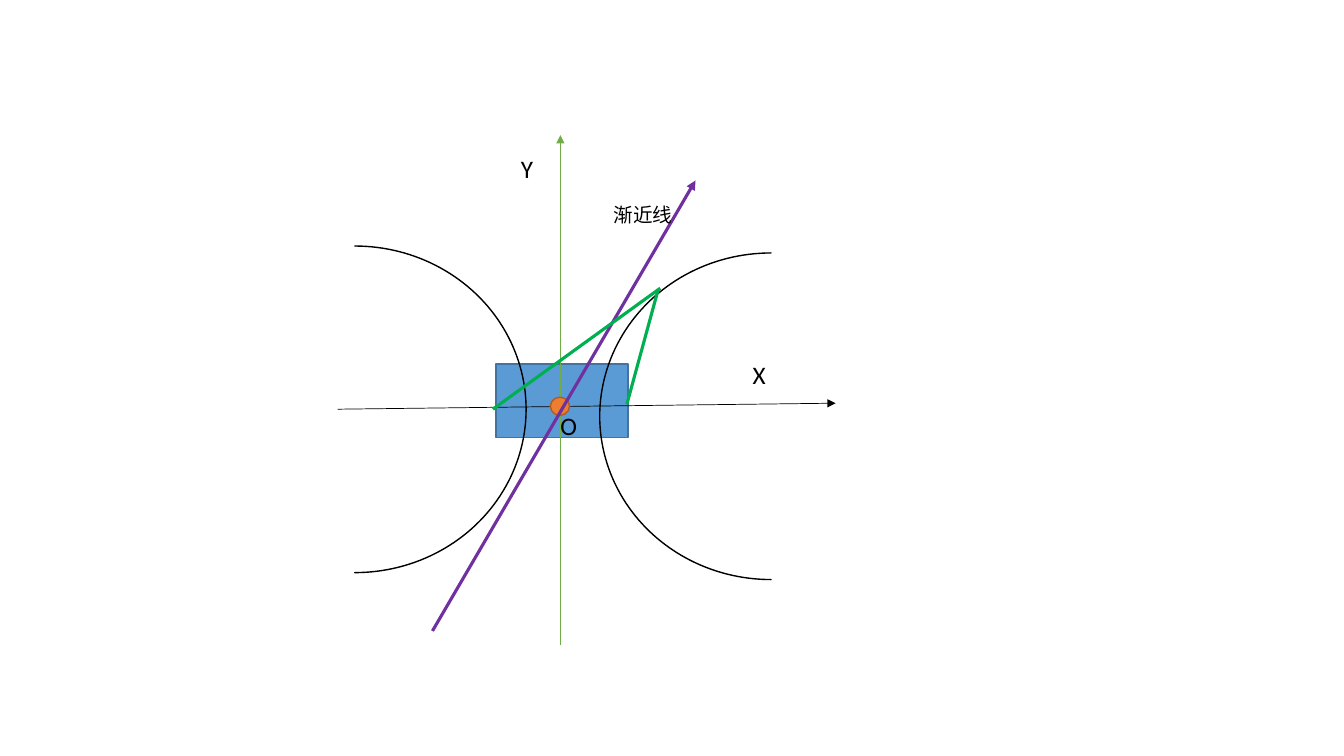
from lxml import etree
from pptx import Presentation
from pptx.dml.color import RGBColor
from pptx.enum import shapes, text
from pptx.oxml import ns
from pptx.util import Pt

BLACK = RGBColor(0x00, 0x00, 0x00)
BLUE = RGBColor(0x5B, 0x9B, 0xD5)
BLUE_EDGE = RGBColor(0x43, 0x73, 0x9E)
ORANGE = RGBColor(0xED, 0x7D, 0x31)
ORANGE_EDGE = RGBColor(0xAF, 0x5C, 0x24)
AXIS_GREEN = RGBColor(0x70, 0xAD, 0x47)
FOCAL_GREEN = RGBColor(0x00, 0xB0, 0x50)
PURPLE = RGBColor(0x70, 0x30, 0xA0)

LATIN, CJK = "Calibri", "Noto Sans CJK SC"


def add_figure(slide, preset, left, top, width, height, fill, edge):
    figure = slide.shapes.add_shape(preset, Pt(left), Pt(top), Pt(width), Pt(height))
    figure.shadow.inherit = False
    figure.fill.solid()
    figure.fill.fore_color.rgb = fill
    figure.line.color.rgb = edge
    figure.line.width = Pt(1)
    return figure


def add_line(slide, start, end, color, weight, arrow=False):
    line = slide.shapes.add_connector(
        shapes.MSO_CONNECTOR.STRAIGHT, *(Pt(v) for v in (*start, *end)))
    line.line.color.rgb = color
    line.line.width = Pt(weight)
    if arrow:
        etree.SubElement(line.line._ln, ns.qn("a:tailEnd"), type="triangle")
    etree.SubElement(line._element.spPr, ns.qn("a:effectLst"))


def add_label(slide, words, left, top, width, height, size, font):
    label = slide.shapes.add_textbox(Pt(left), Pt(top), Pt(width), Pt(height))
    frame = label.text_frame
    frame.word_wrap = True
    frame.auto_size = text.MSO_AUTO_SIZE.SHAPE_TO_FIT_TEXT
    paragraph = frame.paragraphs[0]
    paragraph.text = words
    paragraph.font.size = Pt(size)
    paragraph.font.name = font
    paragraph.font.color.rgb = BLACK


def draw_axes(slide, left, top):
    """Coordinate axes with their labels, the central rectangle and the origin."""
    add_figure(slide, shapes.MSO_SHAPE.RECTANGLE, left + 114.2, top + 163.9,
               94.3, 52.6, BLUE, BLUE_EDGE)
    add_line(slide, (left + 1.2, top + 196.3), (left + 356.9, top + 192),
             BLACK, 0.5, arrow=True)
    add_line(slide, (left + 160.3, top + 364.8), (left + 160.3, top + 0.5),
             AXIS_GREEN, 1, arrow=True)
    for name, x, y in (("X", 290.6, 157.4), ("Y", 125, 9.8), ("O", 153.1, 193.4)):
        add_label(slide, name, left + x, top + y, 46.8, 45.4, 18, LATIN)
    add_figure(slide, shapes.MSO_SHAPE.OVAL, left + 153.1, top + 187.7,
               13.7, 13, ORANGE, ORANGE_EDGE)


def draw_hyperbola(slide, left, top):
    """Asymptote, both branches and the two focal radii."""
    add_line(slide, (left + 68.9, top + 354.7), (left + 256.8, top + 32.9),
             PURPLE, 2.25, arrow=True)
    for x, y, rotation in ((188.4, 84.7, 0), (13.4, 79.7, 180)):
        branch = add_figure(slide, shapes.MSO_SHAPE.MOON, left + x, top + y,
                            122.4, 233.3, BLACK, BLACK)
        branch.adjustments[0] = 0
        branch.rotation = rotation
    add_label(slide, "渐近线", left + 191.3, top + 45.1, 73.4, 24.5, 14, CJK)
    for start_x, start_y, focus_x, focus_y in ((231.6, 109.9, 112.1, 196.3),
                                               (230.2, 110.6, 207.8, 192.7)):
        add_line(slide, (left + start_x, top + start_y),
                 (left + focus_x, top + focus_y), FOCAL_GREEN, 2.25)


def main():
    deck = Presentation()
    deck.slide_width, deck.slide_height = Pt(960), Pt(540)
    slide = deck.slides.add_slide(deck.slide_layouts[6])
    left, top = 240, 96
    draw_axes(slide, left, top)
    draw_hyperbola(slide, left, top)
    deck.save("out.pptx")


if __name__ == "__main__":
    main()
